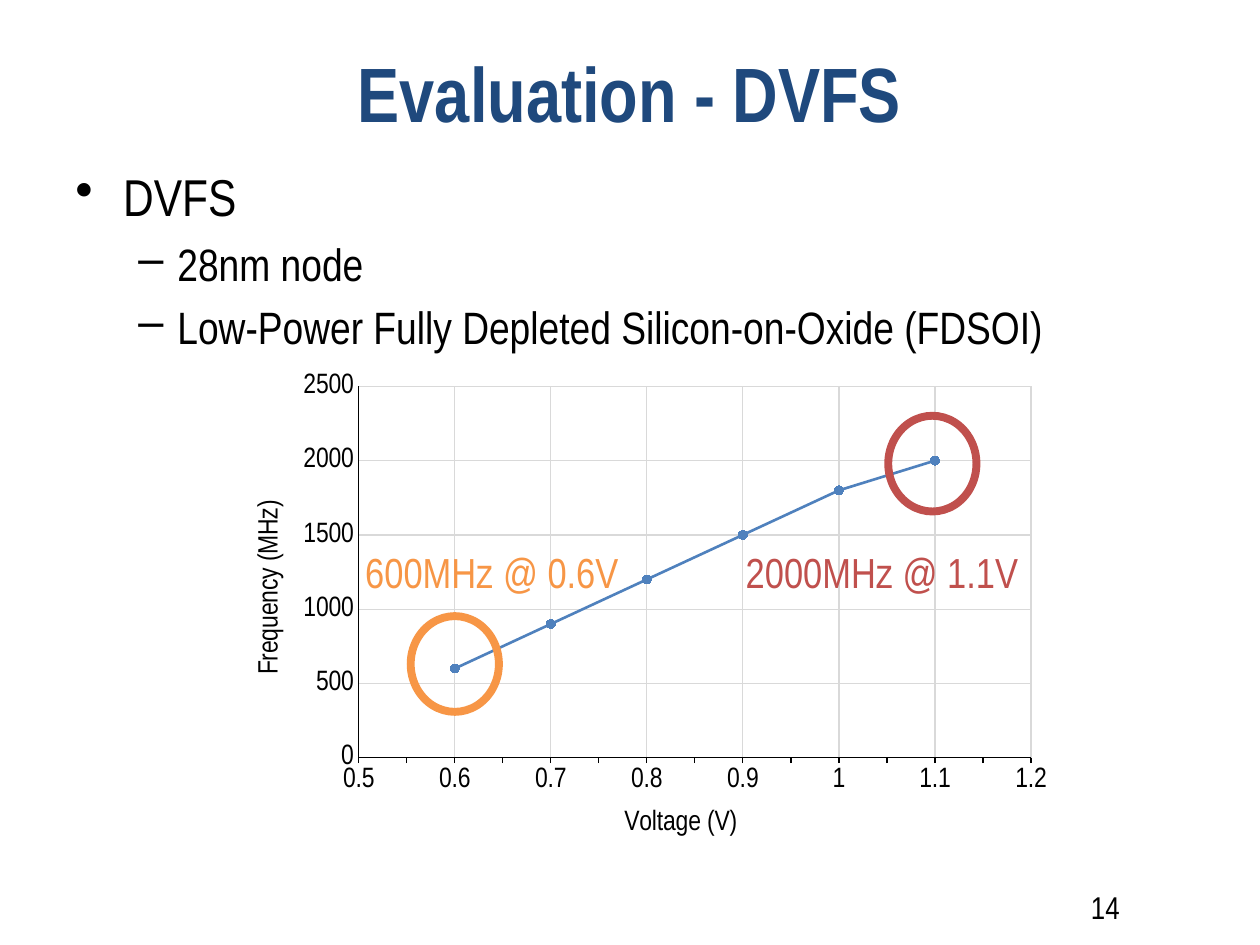
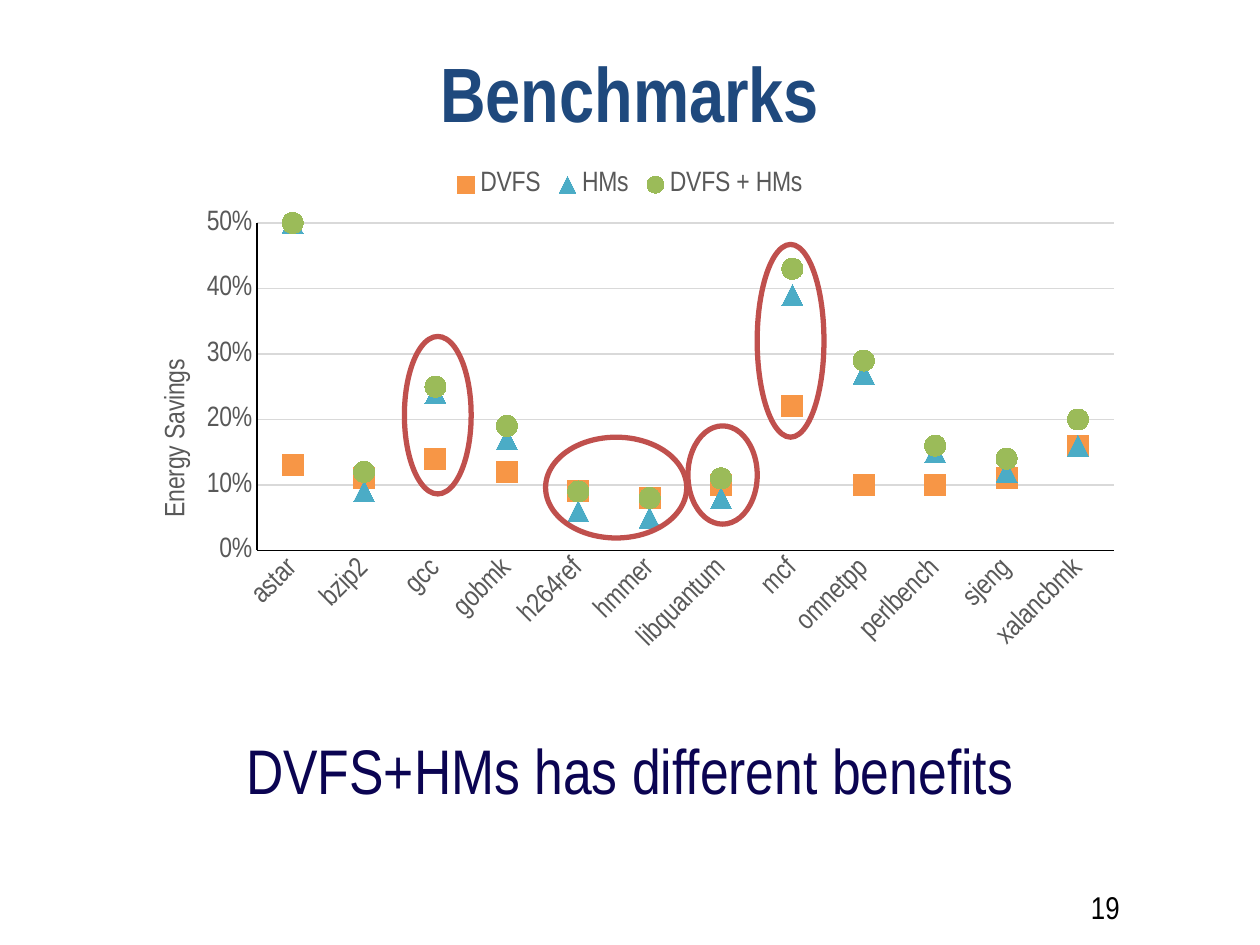
import dataclasses
import pptx
import pptx.chart.data
import pptx.dml.color
import pptx.enum.chart
import pptx.enum.shapes
import pptx.enum.text
import pptx.oxml
import pptx.oxml.ns
import pptx.util

RGB = pptx.dml.color.RGBColor
BLACK = RGB(0x00, 0x00, 0x00)
WHITE = RGB(0xFF, 0xFF, 0xFF)
NAVY = RGB(0x1F, 0x49, 0x7D)
INK = RGB(0x0B, 0x04, 0x52)
GRAY = RGB(0x59, 0x59, 0x59)
PALE = RGB(0xD9, 0xD9, 0xD9)
BLUE = RGB(0x4F, 0x81, 0xBD)
RED = RGB(0xC0, 0x50, 0x4D)
ORANGE = RGB(0xF7, 0x96, 0x46)
TEAL = RGB(0x4B, 0xAC, 0xC6)
GREEN = RGB(0x9B, 0xBB, 0x59)

FONT = "Arial Narrow"
WIDE, HIGH = pptx.util.Inches(10), pptx.util.Inches(7.5)
CELL = WIDE / 100
Pt = pptx.util.Pt
TICK = pptx.enum.chart.XL_TICK_MARK
MARK = pptx.enum.chart.XL_MARKER_STYLE
KIND = pptx.enum.chart.XL_CHART_TYPE
SHAPE = pptx.enum.shapes.MSO_SHAPE
MIDDLE = pptx.enum.text.MSO_ANCHOR.MIDDLE
CENTER = pptx.enum.text.PP_ALIGN.CENTER


@dataclasses.dataclass
class Box:
    """A region in cells of a grid, 100 columns by 75 rows."""
    x: float
    y: float
    w: float
    h: float

    def inset(self, x, y, w, h):
        """Return a region offset from this one's corner."""
        return Box(self.x + x, self.y + y, w, h)

    def emu(self):
        """Return left, top, width and height as lengths."""
        return [round(n * CELL) for n in (self.x, self.y, self.w, self.h)]


PAGE = Box(0, 0, 100, 75)


def style(font, size, color, bold=False):
    """Set the shared typeface with a size and colour."""
    font.name, font.size, font.bold = FONT, Pt(size), bold
    font.color.rgb = color


def write(para, text, size, color, bold=False):
    """Add one styled run."""
    run = para.add_run()
    run.text = text
    style(run.font, size, color, bold)


def label(slide, box, text, size, color):
    """Place one line of text."""
    frame = slide.shapes.add_textbox(*box.emu()).text_frame
    frame.word_wrap = False
    write(frame.paragraphs[0], text, size, color)


def start(deck, title, number):
    """Add a slide with its title and page number."""
    slide = deck.slides.add_slide(deck.slide_layouts[5])
    head = slide.shapes.title
    head.left, head.top, head.width, head.height = PAGE.inset(5, 1, 90, 12.5).emu()
    head.text_frame.vertical_anchor = MIDDLE
    para = head.text_frame.paragraphs[0]
    para.alignment = CENTER
    write(para, title, 44, NAVY, True)
    label(slide, PAGE.inset(85.6, 70, 4.9, 4.4), number, 18, BLACK)
    return slide


def points(slide, box, items):
    """Write a bulleted list of (level, text) pairs."""
    looks = [("•", 29.6, 0.38, 0.38), ("–", 25.9, 0.81, 0.31)]
    frame = slide.shapes.add_textbox(*box.emu()).text_frame
    frame.word_wrap = True
    for i, (level, text) in enumerate(items):
        sign, size, left, hang = looks[level]
        para = frame.add_paragraph() if i else frame.paragraphs[0]
        para.level = level
        para.space_before = Pt(size * 0.2)
        write(para, text, size, BLACK)
        props = para._p.get_or_add_pPr()
        props.set("marL", str(pptx.util.Inches(left)))
        props.set("indent", str(-pptx.util.Inches(hang)))
        props.append(pptx.oxml.parse_xml(
            f'<a:buChar {pptx.oxml.ns.nsdecls("a")} char="{sign}"/>'))


def ring(slide, box, color, weight):
    """Draw a hollow ellipse."""
    oval = slide.shapes.add_shape(SHAPE.OVAL, *box.emu())
    oval.shadow.inherit = False
    oval.fill.background()
    oval.line.color.rgb = color
    oval.line.width = Pt(weight)


def fix(node, index, **shares):
    """Pin a chart element at shares of the chart's size."""
    for old in node.xpath("c:layout"):
        node.remove(old)
    inner = '<c:layoutTarget val="inner"/>' if "w" in shares else ""
    modes = "".join(f'<c:{k}Mode val="edge"/>' for k in "xy")
    sizes = "".join(f'<c:{k} val="{v}"/>' for k, v in shares.items())
    node.insert(index, pptx.oxml.parse_xml(
        f'<c:layout {pptx.oxml.ns.nsdecls("c")}><c:manualLayout>'
        f'{inner}{modes}{sizes}</c:manualLayout></c:layout>'))


def plot(slide, box, kind, data, shares):
    """Add a chart and pin its plot area."""
    chart = slide.shapes.add_chart(kind, *box.emu(), data).chart
    chart.has_title = chart.has_legend = False
    style(chart.font, 16, BLACK)
    x, y, w, h = shares
    fix(chart._chartSpace.xpath("c:chart/c:plotArea")[0], 0, x=x, y=y, w=w, h=h)
    return chart


def dress(axis, color, grid):
    """Format an axis, its labels and its grid."""
    axis.major_tick_mark = axis.minor_tick_mark = TICK.NONE
    style(axis.tick_labels.font, 16, color)
    axis.format.line.color.rgb = BLACK
    axis.format.line.width = Pt(0.75)
    axis.has_major_gridlines = grid
    if grid:
        line = axis.major_gridlines.format.line
        line.color.rgb, line.width = PALE, Pt(0.75)


def scale(axis, low, high, step):
    """Set the range and step of an axis."""
    axis.minimum_scale, axis.maximum_scale, axis.major_unit = low, high, step


def name(axis, text, color, x, y, turn=0):
    """Title an axis at shares of the chart, turned by degrees."""
    title = axis.axis_title
    write(title.text_frame.paragraphs[0], text, 16, color)
    body = title.text_frame._txBody.bodyPr
    body.set("rot", str(turn * 60000))
    body.set("vert", "horz")
    fix(title._element, 1, x=x, y=y)


def dot(series, sign, size, color):
    """Format the markers of a series."""
    mark = series.marker
    mark.style, mark.size = sign, size
    mark.format.fill.solid()
    mark.format.fill.fore_color.rgb = color
    mark.format.line.color.rgb = color
    series.smooth = False


def curve(slide, box):
    """Plot frequency against voltage and mark both ends."""
    data = pptx.chart.data.XyChartData()
    rows = data.add_series("Series 1")
    volts = [0.6, 0.7, 0.8, 0.9, 1, 1.1]
    for volt, freq in zip(volts, [600, 900, 1200, 1500, 1800, 2000]):
        rows.add_data_point(volt, freq)
    chart = plot(slide, box, KIND.XY_SCATTER_LINES, data, (0.16, 0.04, 0.8, 0.75))
    chart.plots[0].vary_by_categories = False
    across, up = chart.category_axis, chart.value_axis
    for axis in (across, up):
        dress(axis, BLACK, True)
    scale(across, 0.5, 1.2, 0.1)
    across.minor_unit = 0.05
    across.minor_tick_mark = TICK.OUTSIDE
    across.tick_labels.number_format = "General"
    across.tick_labels.number_format_is_linked = False
    scale(up, 0, 2500, 500)
    name(across, "Voltage (V)", BLACK, 0.47, 0.88)
    name(up, "Frequency (MHz)", BLACK, 0.03, 0.26, -90)
    line = chart.plots[0].series[0]
    line.format.line.color.rgb = BLUE
    line.format.line.width = Pt(1.5)
    dot(line, MARK.CIRCLE, 5, BLUE)
    ends = [("600MHz @ 0.6V", ORANGE, 14.8, 19.8, 10.2, 23.1),
            ("2000MHz @ 1.1V", RED, 52.7, 3.9, 40.4, 24.6)]
    for text, color, x, y, left, wide in ends:
        ring(slide, box.inset(x, y, 7, 7.6), color, 4.5)
        label(slide, box.inset(left, 13.8, wide, 5), text, 24, color)


def savings(slide, box):
    """Plot energy savings by benchmark and ring some of them."""
    data = pptx.chart.data.CategoryChartData(number_format="0%")
    data.categories = ["astar", "bzip2", "gcc", "gobmk", "h264ref", "hmmer",
                       "libquantum", "mcf", "omnetpp", "perlbench", "sjeng",
                       "xalancbmk"]
    sets = [
        ("DVFS", MARK.SQUARE, ORANGE,
         [0.13, 0.11, 0.14, 0.12, 0.09, 0.08, 0.1, 0.22, 0.1, 0.1, 0.11, 0.16]),
        ("HMs", MARK.TRIANGLE, TEAL,
         [0.5, 0.09, 0.24, 0.17, 0.06, 0.05, 0.08, 0.39, 0.27, 0.15, 0.12, 0.16]),
        ("DVFS + HMs", MARK.CIRCLE, GREEN,
         [0.5, 0.12, 0.25, 0.19, 0.09, 0.08, 0.11, 0.43, 0.29, 0.16, 0.14, 0.2])]
    for title, _, _, values in sets:
        data.add_series(title, values)
    chart = plot(slide, box, KIND.LINE_MARKERS, data, (0.13, 0.13, 0.85, 0.65))
    chart.plots[0].vary_by_categories = False
    for series, (_, sign, color, _) in zip(chart.plots[0].series, sets):
        series.format.line.fill.background()
        dot(series, sign, 12, color)
    across, up = chart.category_axis, chart.value_axis
    dress(across, GRAY, False)
    across._element.xpath("c:txPr/a:bodyPr")[0].set("rot", str(-45 * 60000))
    dress(up, GRAY, True)
    scale(up, 0, 0.5, 0.1)
    up.tick_labels.number_format = "0%"
    up.tick_labels.number_format_is_linked = False
    name(up, "Energy Savings", GRAY, 0.03, 0.39, -90)
    chart.has_legend = True
    chart.legend.position = pptx.enum.chart.XL_LEGEND_POSITION.TOP
    chart.legend.include_in_layout = False
    style(chart.legend.font, 16, GRAY)
    for spot in [(22.1, 14.2, 5.3, 12.5), (44.6, 21.3, 5.5, 7.8),
                 (33.3, 22.2, 11.2, 8), (50.1, 6.9, 5.3, 15.3)]:
        ring(slide, box.inset(*spot), RED, 3)


def band(slide, box, text):
    """Draw a white band with a centred closing line."""
    shape = slide.shapes.add_shape(SHAPE.RECTANGLE, *box.emu())
    shape.shadow.inherit = False
    shape.fill.solid()
    shape.fill.fore_color.rgb = WHITE
    shape.line.fill.background()
    shape.text_frame.vertical_anchor = MIDDLE
    para = shape.text_frame.paragraphs[0]
    para.alignment = CENTER
    write(para, text, 36, INK)


def main():
    """Build and save both slides."""
    deck = pptx.Presentation()
    deck.slide_width, deck.slide_height = WIDE, HIGH
    slide = start(deck, "Evaluation - DVFS", "14")
    points(slide, PAGE.inset(5, 12.6, 90, 14.7), [
        (0, "DVFS"), (1, "28nm node"),
        (1, "Low-Power Fully Depleted Silicon-on-Oxide (FDSOI)")])
    curve(slide, PAGE.inset(17.8, 29.1, 66.7, 39.3))
    slide = start(deck, "Benchmarks", "19")
    savings(slide, PAGE.inset(10, 12.5, 80, 40))
    band(slide, PAGE.inset(0, 52, 100, 18.1), "DVFS+HMs has different benefits")
    deck.save("out.pptx")


if __name__ == "__main__":
    main()
